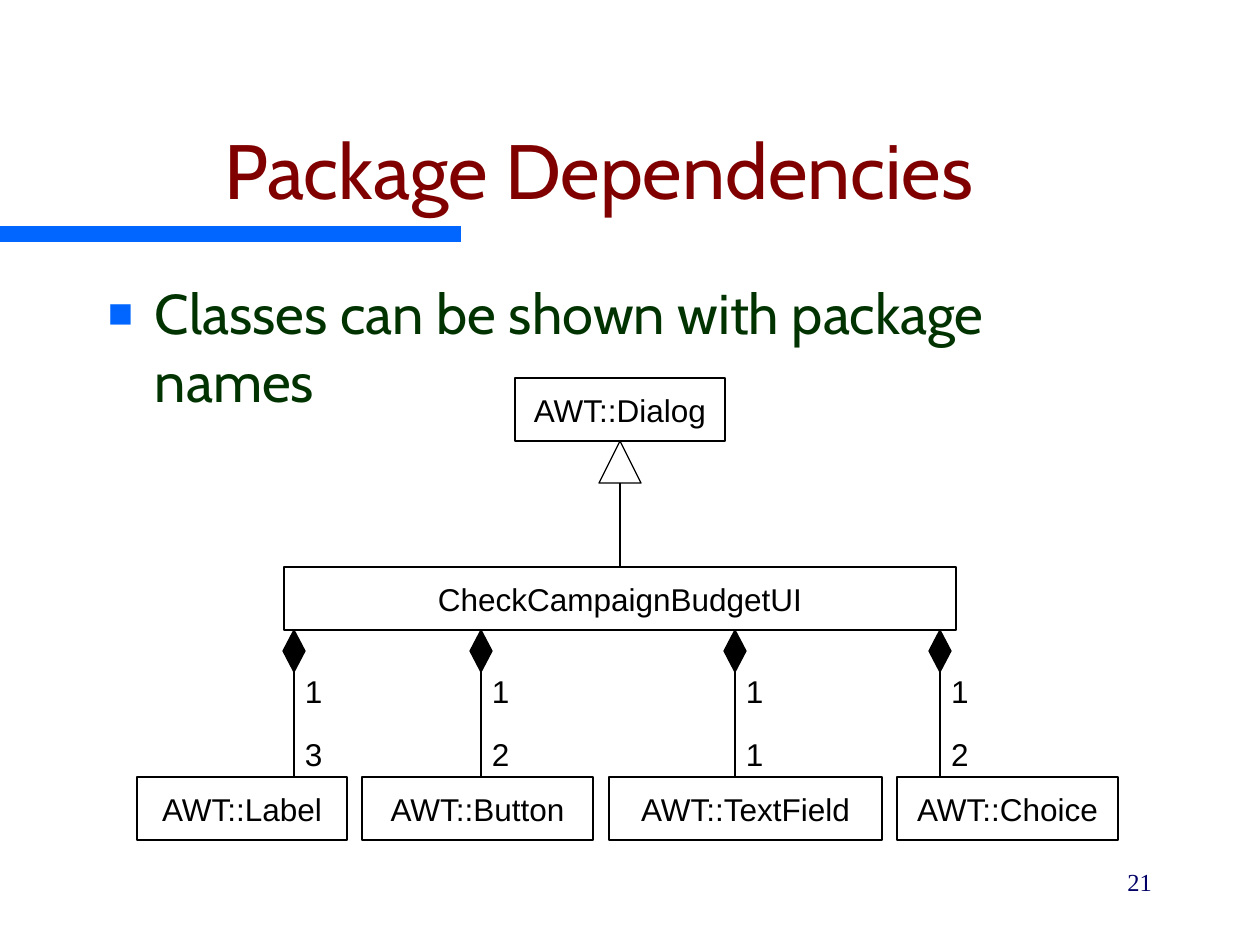
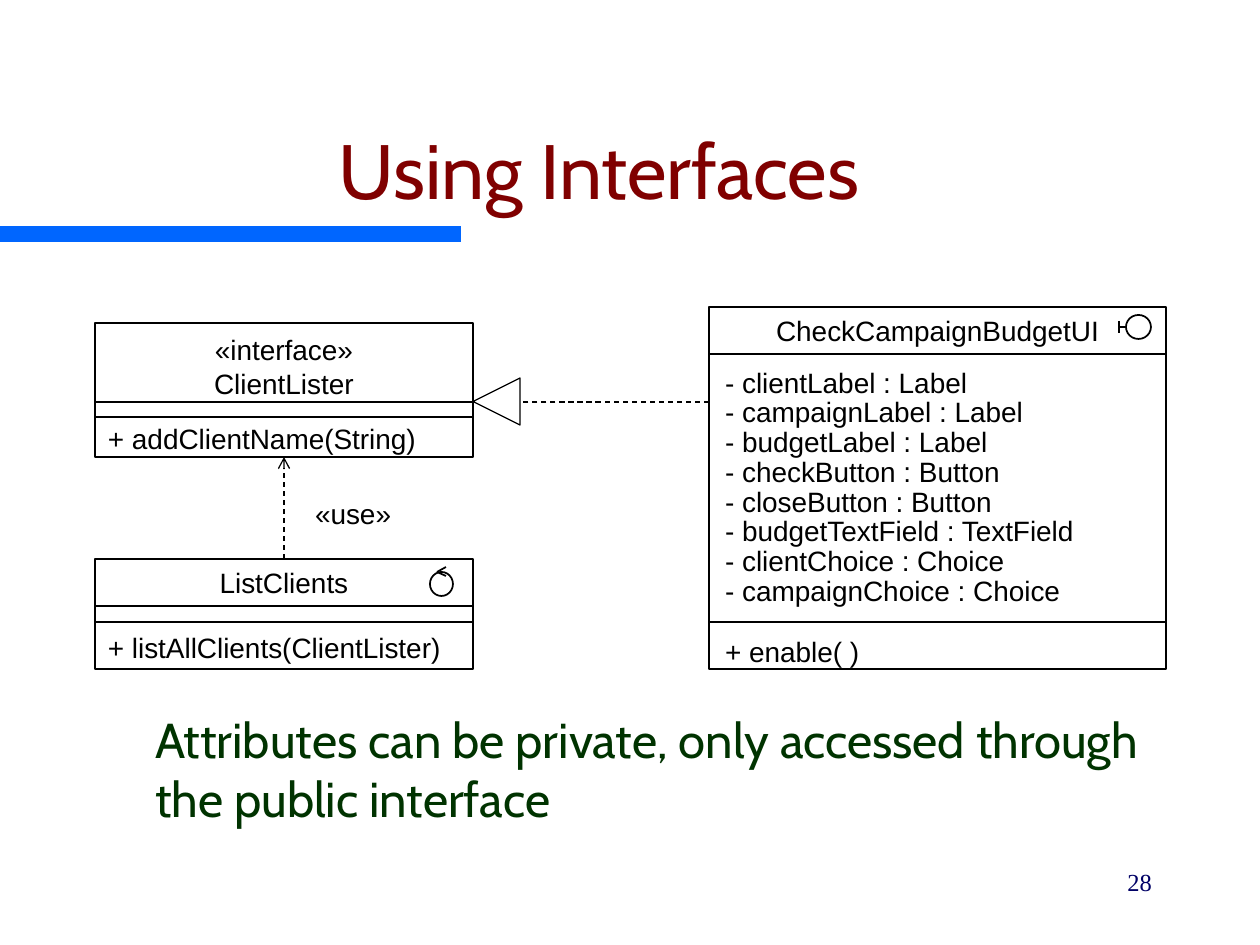
from dataclasses import dataclass

from lxml import etree
from pptx import Presentation
from pptx import util as u
from pptx.dml.color import RGBColor
from pptx.enum import dml, shapes, text
from pptx.oxml import ns

EMU_PER_PX = 914400 / 126


@dataclass(frozen=True)
class Theme:
    title_font: str = "Cabin"
    diagram_font: str = "Arial"
    number_font: str = "Times New Roman"
    title: str = "800000"
    body: str = "003300"
    accent: str = "0066FF"
    number: str = "000066"
    ink: str = "000000"
    paper: str = "FFFFFF"
    title_size: int = 44
    body_size: int = 32
    note_size: int = 28
    box_size: int = 18
    class_size: int = 16
    number_size: int = 14
    line: float = 0.75
    icon_line: float = 1


THEME = Theme()
LEFT, CENTER, RIGHT = text.PP_ALIGN.LEFT, text.PP_ALIGN.CENTER, text.PP_ALIGN.RIGHT
MIDDLE = text.MSO_ANCHOR.MIDDLE
SHAPE = shapes.MSO_SHAPE


@dataclass(frozen=True)
class Compartment:
    """One band of a class box; drop moves its text down."""
    height: int
    lines: tuple = ()
    align: text.PP_ALIGN = LEFT
    inset: int = 13
    drop: int = 0
    pitch: int = 0


def px(*lengths):
    return [u.Emu(round(length * EMU_PER_PX)) for length in lengths]


def rgb(color):
    return RGBColor.from_string(color)


def write(frame, lines, size, color=THEME.ink, font=THEME.diagram_font,
          align=LEFT, insets=(13, 6, 13, 6), pitch=0):
    frame.word_wrap = True
    frame.auto_size = text.MSO_AUTO_SIZE.NONE
    (frame.margin_left, frame.margin_top,
     frame.margin_right, frame.margin_bottom) = px(*insets)
    frame.text = "\n".join(lines)
    for para in frame.paragraphs:
        para.alignment = align
        if pitch:
            para.line_spacing = u.Pt(pitch)
        for span in para.runs:
            span.font.size = u.Pt(size)
            span.font.name = font
            span.font.color.rgb = rgb(color)


def add_text(page, area, content, size, **style):
    box = page.shapes.add_textbox(*px(*area))
    write(box.text_frame, [content], size, **style)
    return box


def add_figure(page, kind, area, fill=THEME.paper, line=THEME.line):
    figure = page.shapes.add_shape(kind, *px(*area))
    figure.shadow.inherit = False
    figure.fill.solid()
    figure.fill.fore_color.rgb = rgb(fill)
    if line:
        figure.line.color.rgb = rgb(THEME.ink)
        figure.line.width = u.Pt(line)
    else:
        figure.line.fill.background()
    return figure


def add_line(page, start, end, width=THEME.line, dashed=False):
    line = page.shapes.add_connector(shapes.MSO_CONNECTOR.STRAIGHT, *px(*start, *end))
    line.line.color.rgb = rgb(THEME.ink)
    line.line.width = u.Pt(width)
    if dashed:
        line.line.dash_style = dml.MSO_LINE.DASH
    etree.SubElement(line._element.spPr, ns.qn("a:effectLst"))
    return line


def add_arrowhead(line):
    etree.SubElement(line.line._get_or_add_ln(), ns.qn("a:tailEnd"), type="arrow")


def add_class_name(page, area, name):
    box = add_figure(page, SHAPE.RECTANGLE, area)
    box.text_frame.vertical_anchor = MIDDLE
    write(box.text_frame, [name], THEME.box_size, align=CENTER)
    return box


def add_class(page, left, top, width, compartments):
    """Stack the compartments downwards and return their rectangles."""
    bands = []
    for part in compartments:
        band = add_figure(page, SHAPE.RECTANGLE, (left, top, width, part.height))
        if part.lines:
            band.text_frame.vertical_anchor = MIDDLE
            write(band.text_frame, part.lines, THEME.class_size, align=part.align,
                  insets=(part.inset, part.drop, part.inset, 0), pitch=part.pitch)
        bands.append(band)
        top += part.height
    return bands


def add_composition(page, x, top, bottom, whole, parts):
    """Diamond, line and the two multiplicities beside it."""
    diamond = add_figure(page, SHAPE.DIAMOND, (x - 11, top, 22, 42), THEME.ink)
    line = add_line(page, (x, top + 42), (x, bottom))
    line.begin_connect(diamond, 2)
    for y, count in ((top + 42, whole), (top + 105, parts)):
        add_text(page, (x + 11, y, 18, 38), count, THEME.box_size, insets=(0, 0, 0, 0))


def add_boundary_icon(page, x, y):
    add_figure(page, SHAPE.OVAL, (x + 7, y - 12, 25, 24), line=THEME.icon_line)
    add_line(page, (x, y - 6), (x, y + 6), THEME.icon_line)
    add_line(page, (x, y), (x + 7, y), THEME.icon_line)


def add_control_icon(page, x, y):
    add_figure(page, SHAPE.OVAL, (x, y, 23, 24), line=THEME.icon_line)
    for tip in (y - 5, y + 4):
        add_line(page, (x + 7, y), (x + 16, tip), THEME.icon_line)


def add_bullet(para):
    props = para._p.get_or_add_pPr()
    indent = px(47)[0]
    props.set("marL", str(indent))
    props.set("indent", str(-indent))
    color = etree.SubElement(props, ns.qn("a:buClr"))
    etree.SubElement(color, ns.qn("a:srgbClr"), val=THEME.accent)
    etree.SubElement(props, ns.qn("a:buSzPct"), val="75000")
    etree.SubElement(props, ns.qn("a:buFont"), typeface=THEME.diagram_font)
    etree.SubElement(props, ns.qn("a:buChar"), char="■")


def add_page(deck, title, number):
    page = deck.slides.add_slide(deck.slide_layouts[5])
    add_figure(page, SHAPE.RECTANGLE, (0, 226, 461, 16), THEME.accent, line=0)
    heading = page.shapes.title
    heading.left, heading.top, heading.width, heading.height = px(32, 63, 1134, 158)
    heading.text_frame.vertical_anchor = text.MSO_ANCHOR.BOTTOM
    write(heading.text_frame, [title], THEME.title_size, THEME.title,
          THEME.title_font, CENTER)
    add_text(page, (903, 861, 262, 63), str(number), THEME.number_size,
             color=THEME.number, font=THEME.number_font, align=RIGHT)
    return page


def build_dependencies(deck):
    page = add_page(deck, "Package Dependencies", 21)
    body = add_text(page, (95, 273, 1071, 567), "Classes can be shown with package names",
                    THEME.body_size, color=THEME.body, font=THEME.title_font)
    add_bullet(body.text_frame.paragraphs[0])

    add_class_name(page, (515, 378, 210, 63), "AWT::Dialog")
    window = add_class_name(page, (284, 567, 672, 63), "CheckCampaignBudgetUI")
    add_figure(page, SHAPE.ISOSCELES_TRIANGLE, (599, 441, 42, 42))
    add_line(page, (620, 567), (620, 483)).begin_connect(window, 0)

    widgets = (("AWT::Label", 137, 210, 294, "3"),
               ("AWT::Button", 362, 231, 481, "2"),
               ("AWT::TextField", 609, 273, 735, "1"),
               ("AWT::Choice", 897, 221, 940, "2"))
    for name, left, width, line_x, count in widgets:
        add_class_name(page, (left, 777, width, 63), name)
        add_composition(page, line_x, 630, 777, "1", count)


def build_interfaces(deck):
    page = add_page(deck, "Using Interfaces", 28)
    add_text(page, (142, 704, 1024, 136),
             "Attributes can be private, only accessed through the public interface",
             THEME.note_size, color=THEME.body, font=THEME.title_font)

    lister = add_class(page, 95, 323, 378, (
        Compartment(79, ("«interface»", "ClientLister"), CENTER, drop=8),
        Compartment(15),
        Compartment(40, ("+ addClientName(String)",), drop=3)))
    clients = add_class(page, 95, 559, 378, (
        Compartment(47, ("ListClients",), CENTER),
        Compartment(16),
        Compartment(47, ("+ listAllClients(ClientLister)",), drop=3)))
    attributes = ("- clientLabel : Label", "- campaignLabel : Label",
                  "- budgetLabel : Label", "- checkButton : Button",
                  "- closeButton : Button", "- budgetTextField : TextField",
                  "- clientChoice : Choice", "- campaignChoice : Choice")
    add_class(page, 709, 307, 457, (
        Compartment(47, ("CheckCampaignBudgetUI",), CENTER),
        Compartment(268, attributes, inset=16, pitch=17),
        Compartment(47, ("+ enable( )",), inset=16, drop=11)))
    add_boundary_icon(page, 1119, 327)
    add_control_icon(page, 430, 572)

    add_line(page, (709, 402), (520, 402), dashed=True)
    add_figure(page, SHAPE.ISOSCELES_TRIANGLE, (473, 378, 47, 47)).rotation = 270
    use = add_line(page, (284, 559), (284, 457), dashed=True)
    use.begin_connect(clients[0], 0)
    use.end_connect(lister[-1], 2)
    add_arrowhead(use)
    add_text(page, (315, 497, 132, 43), "«use»", THEME.class_size, insets=(0, 0, 0, 0))


def main():
    deck = Presentation()
    deck.slide_width, deck.slide_height = px(1260, 945)
    build_dependencies(deck)
    build_interfaces(deck)
    deck.save("out.pptx")


if __name__ == "__main__":
    main()
